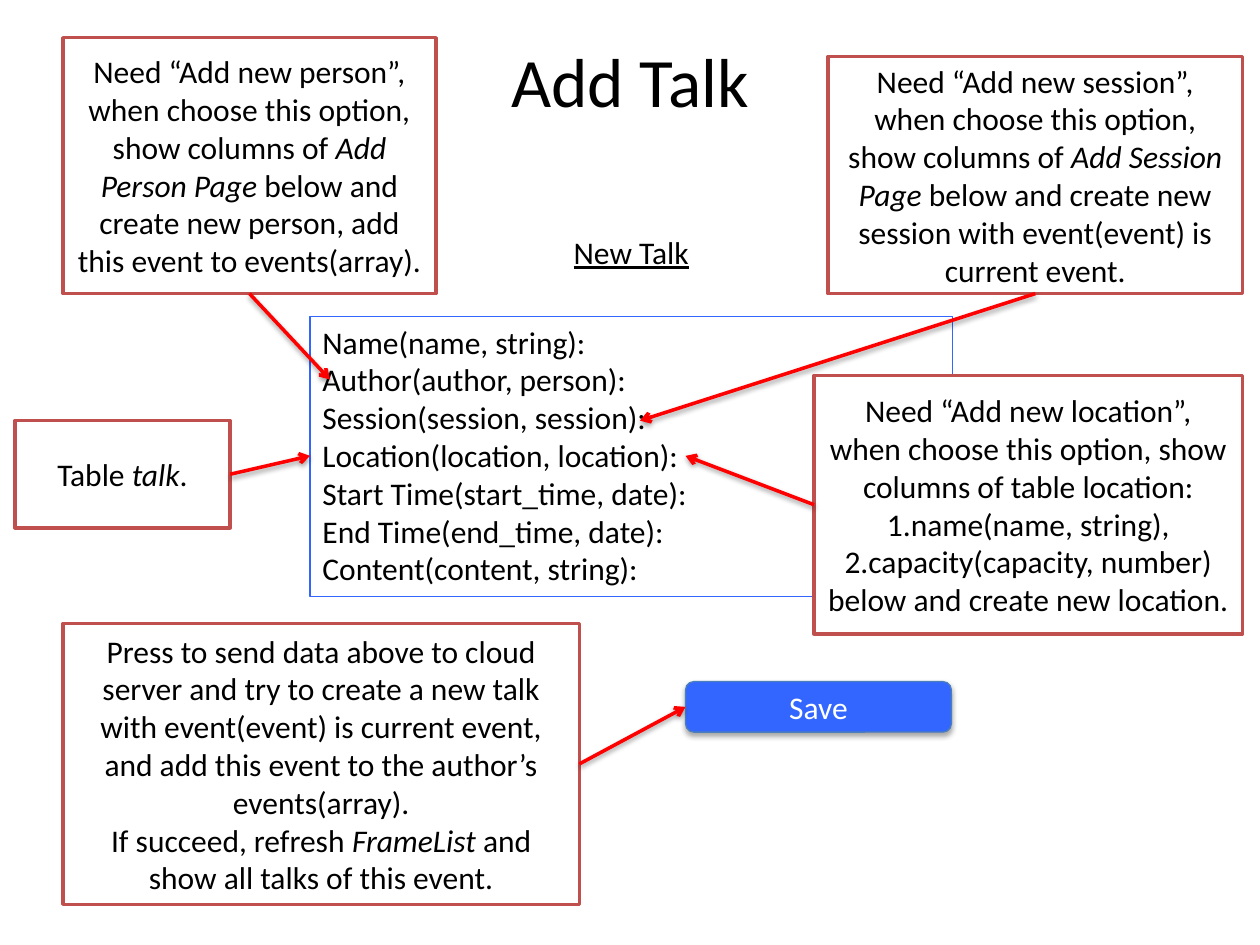
from lxml import etree
from pptx import Presentation
from pptx.dml.color import RGBColor
from pptx.enum.shapes import MSO_CONNECTOR, MSO_SHAPE
from pptx.enum.text import MSO_ANCHOR, PP_ALIGN
from pptx.oxml.ns import qn
from pptx.util import Cm, Pt

BLACK = RGBColor(0x00, 0x00, 0x00)
WHITE = RGBColor(0xFF, 0xFF, 0xFF)
BLUE = RGBColor(0x33, 0x66, 0xFF)
BUTTON_EDGE = RGBColor(0x4B, 0x7E, 0xBC)
NOTE_EDGE = RGBColor(0xC0, 0x50, 0x4D)
RED = RGBColor(0xFF, 0x00, 0x00)
CENTER, LEFT = PP_ALIGN.CENTER, PP_ALIGN.LEFT
TOP, MIDDLE = MSO_ANCHOR.TOP, MSO_ANCHOR.MIDDLE
RECTANGLE, ROUNDED = MSO_SHAPE.RECTANGLE, MSO_SHAPE.ROUNDED_RECTANGLE
PROCESS = MSO_SHAPE.FLOWCHART_PROCESS
STRAIGHT = MSO_CONNECTOR.STRAIGHT
# Connection sites of a rectangle
LEFT_SIDE, BOTTOM_SIDE, RIGHT_SIDE = 1, 2, 3

# Content: each paragraph is a list of runs, every second run is italic
FIELDS = [
    ["Name(name, string):"],
    ["Author(author, person):"],
    ["Session(session, session):"],
    ["Location(location, location):"],
    ["Start Time(start_time, date):"],
    ["End Time(end_time, date):"],
    ["Content(content, string):"],
]
# Notes: box in cm (left, top, width, height), paragraphs, arrow side, arrow tip
NOTES = [
    ((1.27, 12.57, 10.41, 5.66),
     [["Press to send data above to cloud server and try to create a new talk "
       "with event(event) is current event, and add this event to the "
       "author’s events(array)."],
      ["If succeed, refresh ", "FrameList", " and show all talks of this event."]],
     RIGHT_SIDE, (13.82, 14.25)),
    ((0.3, 8.48, 4.34, 2.16),
     [["Table ", "talk", "."]],
     RIGHT_SIDE, (6.25, 9.19)),
    ((1.27, 0.76, 7.52, 5.16),
     [["Need “Add new person”, when choose this option, show columns of ",
       "Add Person Page",
       " below and create new person, add this event to events(array)."]],
     BOTTOM_SIDE, (6.65, 7.65)),
    ((16.41, 7.57, 8.64, 5.21),
     [["Need “Add new location”, when choose this option, show columns of "
       "table location: 1.name(name, string),"],
      ["2.capacity(capacity, number) below and create new location."]],
     LEFT_SIDE, (13.82, 9.19)),
    ((16.69, 1.14, 8.36, 4.78),
     [["Need “Add new session”, when choose this option, show columns of ",
       "Add Session Page",
       " below and create new session with event(event) is current event."]],
     BOTTOM_SIDE, (12.9, 8.48)),
]

prs = Presentation()
prs.slide_width, prs.slide_height = Cm(25.4), Cm(19.05)
slide = prs.slides.add_slide(prs.slide_layouts[6])


def write(shape, paragraphs, size=18, color=BLACK, align=CENTER, anchor=MIDDLE):
    frame = shape.text_frame
    frame.word_wrap = True
    frame.vertical_anchor = anchor
    for i, runs in enumerate(paragraphs):
        paragraph = frame.paragraphs[0] if i == 0 else frame.add_paragraph()
        paragraph.alignment = align
        paragraph.font.name = "Calibri"
        paragraph.font.size = Pt(size)
        paragraph.font.color.rgb = color
        for j, text in enumerate(runs):
            run = paragraph.add_run()
            run.text = text
            if j % 2:
                run.font.italic = True


def add_label(box, text, **style):
    label = slide.shapes.add_textbox(*map(Cm, box))
    write(label, [[text]], **style)
    return label


def add_box(kind, box, fill, edge, edge_width, paragraphs, **style):
    shape = slide.shapes.add_shape(kind, *map(Cm, box))
    shape.shadow.inherit = False
    if fill is None:
        shape.fill.background()
    else:
        shape.fill.solid()
        shape.fill.fore_color.rgb = fill
    shape.line.color.rgb = edge
    shape.line.width = Pt(edge_width)
    write(shape, paragraphs, **style)
    return shape


def add_shadow(shape, distance, opacity):
    properties = shape._element.spPr
    effects = properties.find(qn("a:effectLst"))
    if effects is None:
        effects = etree.SubElement(properties, qn("a:effectLst"))
    shadow = etree.SubElement(effects, qn("a:outerShdw"), blurRad=str(Pt(3.1)),
                              dist=str(Pt(distance)), dir="5400000", rotWithShape="0")
    color = etree.SubElement(shadow, qn("a:srgbClr"), val=str(BLACK))
    etree.SubElement(color, qn("a:alpha"), val=str(opacity * 1000))


def add_arrow(note, side, tip):
    tip_x, tip_y = map(Cm, tip)
    arrow = slide.shapes.add_connector(STRAIGHT, tip_x, tip_y, tip_x, tip_y)
    arrow.begin_connect(note, side)
    arrow.line.color.rgb = RED
    arrow.line.width = Pt(2)
    etree.SubElement(arrow.line._get_or_add_ln(), qn("a:tailEnd"), type="arrow")
    add_shadow(arrow, 1.6, 38)


# Headings
add_label((1.27, 0.76, 22.86, 1.7), "Add Talk", size=39.6)
new_talk = add_label((7.77, 4.57, 9.91, 1.02), "New Talk", anchor=TOP)
new_talk.text_frame.paragraphs[0].font.underline = True

# Form and its button
add_box(RECTANGLE, (6.25, 6.38, 12.95, 5.64), None, BLUE, 0.75, FIELDS,
        align=LEFT, anchor=TOP)
save = add_box(ROUNDED, (13.82, 13.74, 5.36, 1.02), BLUE, BUTTON_EDGE, 0.75,
               [["Save"]], color=WHITE)
add_shadow(save, 1.8, 35)

# Notes with arrows to the form
for box, paragraphs, side, tip in NOTES:
    note = add_box(PROCESS, box, WHITE, NOTE_EDGE, 2, paragraphs)
    add_arrow(note, side, tip)

prs.save("out.pptx")
